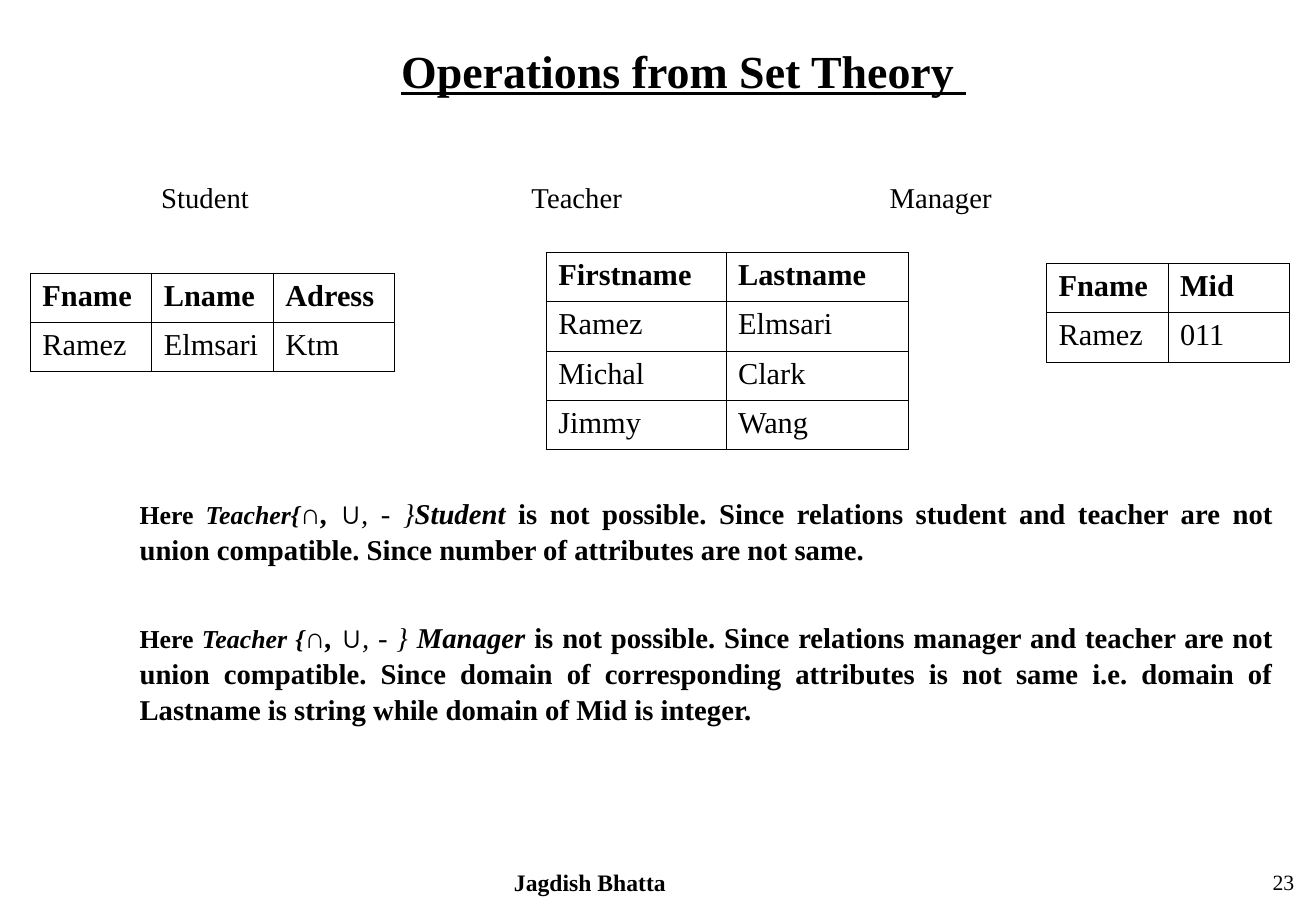
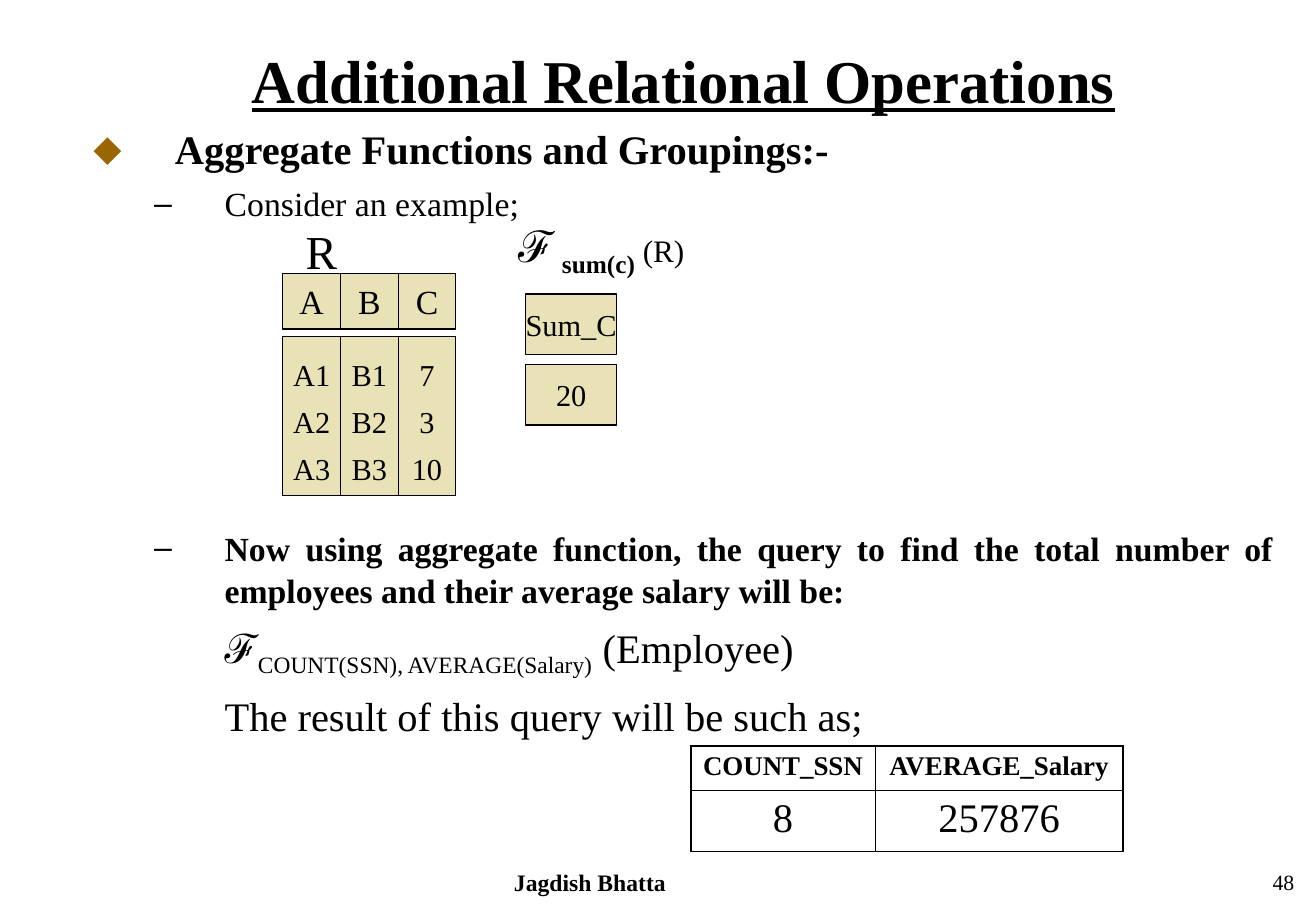
from lxml import etree
from pptx import Presentation
from pptx.dml.color import RGBColor
from pptx.enum.shapes import MSO_SHAPE
from pptx.enum.text import MSO_ANCHOR, MSO_AUTO_SIZE, PP_ALIGN
from pptx.oxml.ns import qn
from pptx.util import Inches, Pt

LEFT, CENTER, RIGHT, JUSTIFY = PP_ALIGN.LEFT, PP_ALIGN.CENTER, PP_ALIGN.RIGHT, PP_ALIGN.JUSTIFY
TOP, MIDDLE = MSO_ANCHOR.TOP, MSO_ANCHOR.MIDDLE
RECTANGLE = MSO_SHAPE.RECTANGLE
NO_AUTOFIT = MSO_AUTO_SIZE.NONE

COLORS = {"ink": "000000", "diamond": "996600", "cell": "E9E2B6"}
SERIF, SANS = "Times New Roman", "Arial"
AUTHOR = "Jagdish Bhatta"
TITLE_BOX = (0.67, 0.3, 9.92, 0.75)
AUTHOR_BOX = (2.83, 7.1, 4.06, 0.33)
NUMBER_BOX = (8.5, 7.1, 2.26, 0.33)
LINE_SPACING = 1.05
DIAMOND = ("⬥", "diamond", 100)
DASH = ("–", "ink", 95)
THIN, THICK = 0.45, 1.08


def color(name):
    return RGBColor.from_string(COLORS[name])


def inches(box):
    return [Inches(length) for length in box]


def set_all(target, values):
    for name, value in values.items():
        setattr(target, name, value)


def add_run(paragraph, text, size, subscript=False, **font_values):
    run = paragraph.add_run()
    run.text = text
    set_all(run.font, {"name": SERIF, "size": Pt(size), **font_values})
    run.font.color.rgb = color("ink")
    if subscript:
        run.font._element.set("baseline", "-25000")


def set_bullet(paragraph, bullet, margin, hanging):
    """Set the indents, and a bullet given as (character, colour, percent) or None."""
    properties = paragraph._p.get_or_add_pPr()
    properties.set("marL", str(Inches(margin)))
    properties.set("indent", str(-Inches(hanging)))
    if bullet is None:
        etree.SubElement(properties, qn("a:buNone"))
        return
    character, color_name, percent = bullet
    bullet_color = etree.SubElement(properties, qn("a:buClr"))
    etree.SubElement(bullet_color, qn("a:srgbClr")).set("val", COLORS[color_name])
    etree.SubElement(properties, qn("a:buSzPct")).set("val", str(percent * 1000))
    etree.SubElement(properties, qn("a:buChar")).set("char", character)


def write(frame, paragraphs, **paragraph_values):
    """Fill a frame; each paragraph is a list of (text, size, font values)."""
    for index, runs in enumerate(paragraphs):
        paragraph = frame.add_paragraph() if index else frame.paragraphs[0]
        set_all(paragraph, paragraph_values)
        for text, size, font_values in runs:
            add_run(paragraph, text, size, **font_values)


def add_text(slide, box, runs, alignment=LEFT):
    frame = slide.shapes.add_textbox(*inches(box)).text_frame
    frame.word_wrap = True
    write(frame, [runs], alignment=alignment)


def add_body(slide, box, items):
    """Fill the body placeholder; an item is (runs, level, space before, bullet, margin, hanging)."""
    body = slide.placeholders[1]
    set_all(body, dict(zip(("left", "top", "width", "height"), inches(box))))
    frame = body.text_frame
    set_all(frame, {"auto_size": NO_AUTOFIT, "vertical_anchor": TOP, "word_wrap": True})
    for index, (runs, level, space_before, bullet, margin, hanging) in enumerate(items):
        paragraph = frame.add_paragraph() if index else frame.paragraphs[0]
        set_bullet(paragraph, bullet, margin, hanging)
        set_all(paragraph, {"level": level, "alignment": JUSTIFY, "line_spacing": LINE_SPACING,
                            "space_before": Pt(space_before)})
        for text, size, font_values in runs:
            add_run(paragraph, text, size, **font_values)


def add_base_slide(presentation, title, title_size, number):
    """Add a slide with the shared title style and footer."""
    slide = presentation.slides.add_slide(presentation.slide_layouts[1])
    shape = slide.shapes.title
    set_all(shape, dict(zip(("left", "top", "width", "height"), inches(TITLE_BOX))))
    set_all(shape.text_frame, {"auto_size": NO_AUTOFIT, "vertical_anchor": TOP})
    write(shape.text_frame, [[(title, title_size, {"bold": True, "underline": True})]],
          alignment=CENTER)
    add_text(slide, AUTHOR_BOX, [(AUTHOR, 14, {"bold": True})], CENTER)
    add_text(slide, NUMBER_BOX, [(str(number), 12.9, {})], RIGHT)
    return slide


def set_borders(cell, widths):
    properties = cell._tc.get_or_add_tcPr()
    for side, width in zip("LRTB", widths):
        line = etree.SubElement(properties, qn(f"a:ln{side}"), w=str(Pt(width)))
        fill = etree.SubElement(line, qn("a:solidFill"))
        etree.SubElement(fill, qn("a:srgbClr"), val=COLORS["ink"])


def add_grid(slide, left, top, widths, heights, rows, sizes=(18, 18), alignment=LEFT, outer=THIN):
    """Add a bordered table with a bold first row; sizes are for header and data."""
    box = (left, top, sum(widths), sum(heights))
    table = slide.shapes.add_table(len(rows), len(widths), *inches(box)).table
    set_all(table, {"first_row": False, "horz_banding": False})
    for column, width in zip(table.columns, widths):
        column.width = Inches(width)
    last_row, last_column = len(rows) - 1, len(widths) - 1
    for i, (row, height) in enumerate(zip(rows, heights)):
        table.rows[i].height = Inches(height)
        for j, text in enumerate(row):
            cell = table.cell(i, j)
            edges = (j == 0, j == last_column, i == 0, i == last_row)
            set_borders(cell, [outer if edge else THIN for edge in edges])
            cell.fill.background()
            write(cell.text_frame, [[(text, sizes[i > 0], {"bold": i == 0})]], alignment=alignment)


def add_cell_box(group, box, lines, size, line_spacing=1.0):
    shape = group.shapes.add_shape(RECTANGLE, *inches(box))
    shape.shadow.inherit = False
    shape.fill.solid()
    shape.fill.fore_color.rgb = color("cell")
    shape.line.color.rgb = color("ink")
    shape.line.width = Pt(0.75)
    set_all(shape.text_frame, {"word_wrap": False, "vertical_anchor": MIDDLE})
    write(shape.text_frame, [[(line, size, {})] for line in lines],
          alignment=CENTER, line_spacing=line_spacing)


def add_relation(slide, left, top, columns):
    """Draw a relation as header boxes above taller boxes of values."""
    group = slide.shapes.add_group_shape()
    width = 0.475
    for index, (name, values) in enumerate(columns.items()):
        x = left + index * width
        add_cell_box(group, (x, top, width, 0.46), [name], 20)
        add_cell_box(group, (x, top + 0.52, width, 1.31), values, 18, 1.3)


def add_sum_result(slide, left, top):
    group = slide.shapes.add_group_shape()
    for index, text in enumerate(("Sum_C", "20")):
        add_cell_box(group, (left, top + index * 0.58, 0.75, 0.5), [text], 18)


def incompatibility(left_relation, right_relation, reason):
    """Runs of one statement that two relations are not union compatible."""
    bold, italic = {"bold": True}, {"italic": True}
    both = {**bold, **italic}
    return [
        ("Here ", 15.3, bold),
        (left_relation + "{", 15.3, both),
        ("∩", 17, {**both, "name": SANS}),
        (", ", 17, both),
        ("∪", 17, {**italic, "name": SANS}),
        (", - }", 17, italic),
        (right_relation + " ", 17, both),
        ("is not possible. " + reason, 17, bold),
    ]


def build_set_theory(presentation):
    slide = add_base_slide(presentation, "Operations from Set Theory ", 27.2, 23)
    for name, left in (("Student", 1.23), ("Teacher", 4.28), ("Manager", 7.23)):
        add_text(slide, (left, 1.43, 1.5, 0.38), [(name, 17, {})])

    add_grid(slide, 4.5, 2.08, (1.48, 1.5), [0.405] * 4,
             [("Firstname", "Lastname"), ("Ramez", "Elmsari"), ("Michal", "Clark"), ("Jimmy", "Wang")])
    add_grid(slide, 0.25, 2.25, (1, 1, 1), [0.405] * 2,
             [("Fname", "Lname", "Adress"), ("Ramez", "Elmsari", "Ktm")])
    add_grid(slide, 8.62, 2.17, (1, 1), [0.405] * 2, [("Fname", "Mid"), ("Ramez", "011")])

    student = incompatibility(
        "Teacher", "Student",
        "Since relations student and teacher are not union compatible. "
        "Since number of attributes are not same.")
    manager = incompatibility(
        "Teacher ", " Manager",
        "Since relations manager and teacher are not union compatible. "
        "Since domain of corresponding attributes is not same i.e. "
        "domain of Lastname is string while domain of Mid is integer.")
    add_body(slide, (0.67, 4.02, 9.92, 2.9),
             [(student, 0, 0, None, 0.38, 0), (manager, 0, 30.5, None, 0.38, 0)])


def build_aggregates(presentation):
    slide = add_base_slide(presentation, "Additional Relational Operations", 36, 48)
    bold = {"bold": True}
    subscript = {"subscript": True}
    query = [("ℱ", 24, {}), ("COUNT(SSN), AVERAGE(Salary)", 24, subscript), (" (Employee)", 24, {})]
    add_body(slide, (0.67, 0.95, 9.92, 5.97), [
        ([("Aggregate Functions and Groupings:-", 24, bold)], 0, 0, DIAMOND, 0.67, 0.67),
        ([("Consider an example;", 20, {})], 1, 5, DASH, 1.08, 0.58),
        ([("Now using aggregate function, the query to find the total number of "
           "employees and their average salary will be:", 20, bold)], 1, 179, DASH, 1.08, 0.58),
        (query, 1, 6, None, 1.08, 0),
        ([("The result of this query will be such as;", 24, {})], 1, 6, None, 1.08, 0),
    ])

    add_text(slide, (2.42, 1.78, 0.5, 0.42), [("R", 28, {})])
    add_relation(slide, 2.33, 2.25, {"A": ("A1", "A2", "A3"), "B": ("B1", "B2", "B3"),
                                     "C": ("7", "3", "10")})
    add_text(slide, (4.17, 1.75, 1.77, 0.61), [
        ("ℱ", 25.9, {}), (" ", 18.5, bold), ("sum(c)", 25.9, {**bold, **subscript}),
        (" ", 18.5, bold), ("(R)", 18.5, {})])
    add_sum_result(slide, 4.33, 2.42)
    add_grid(slide, 5.69, 6.14, (1.52, 2.04), (0.37, 0.5),
             [("COUNT_SSN", "AVERAGE_Salary"), ("8", "257876")], (16, 24), CENTER, THICK)


def main():
    presentation = Presentation()
    presentation.slide_width, presentation.slide_height = inches((10.84, 7.5))
    build_set_theory(presentation)
    build_aggregates(presentation)
    presentation.save("out.pptx")


if __name__ == "__main__":
    main()
